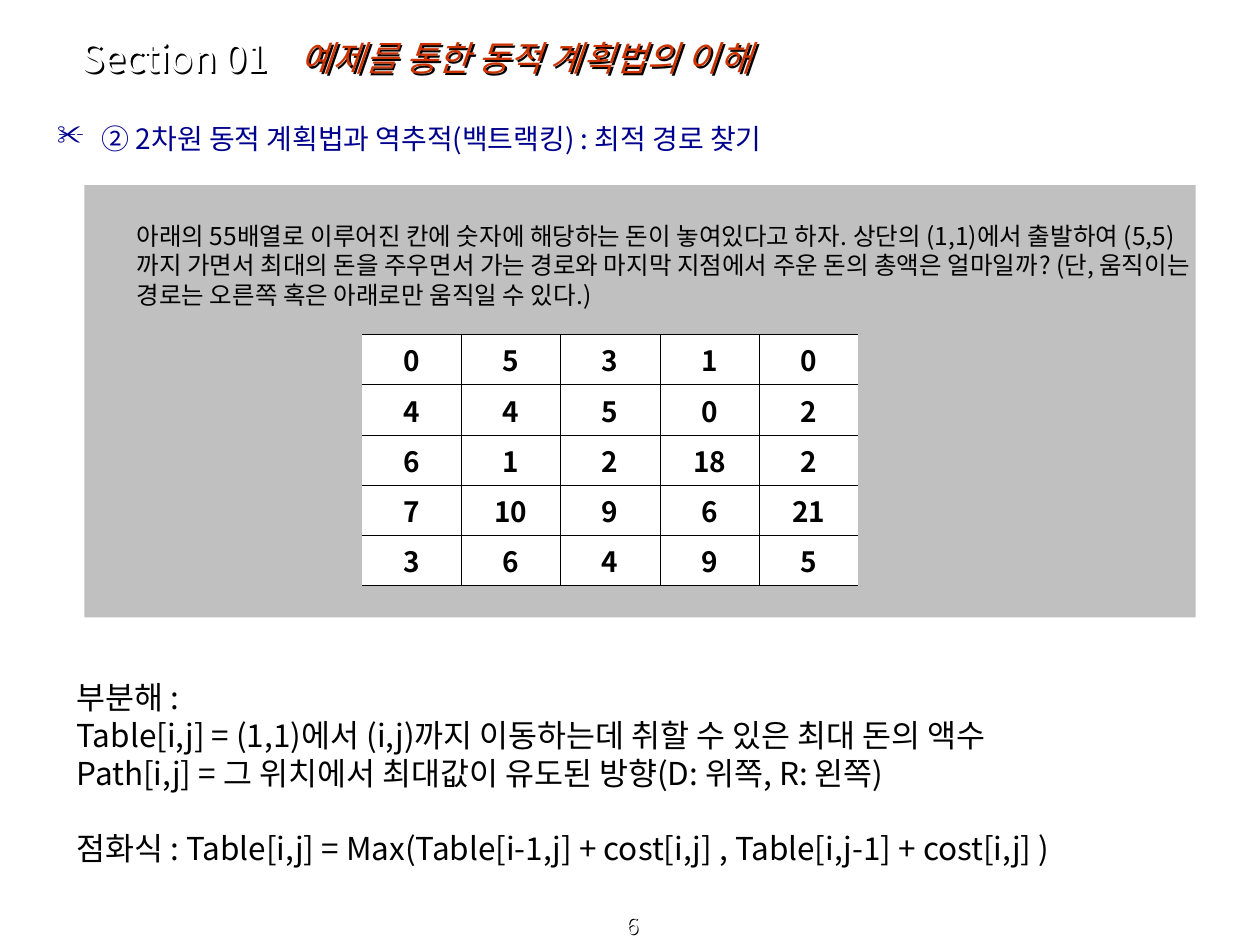
from dataclasses import dataclass

from lxml import etree
from pptx import Presentation
from pptx.dml.color import RGBColor
from pptx.enum.shapes import MSO_SHAPE
from pptx.enum.text import MSO_ANCHOR, PP_ALIGN
from pptx.oxml.ns import qn
from pptx.slide import Slide
from pptx.table import _Cell
from pptx.text.text import TextFrame, _Paragraph
from pptx.util import Pt

RECTANGLE = MSO_SHAPE.RECTANGLE
TOP, MIDDLE, BOTTOM = MSO_ANCHOR.TOP, MSO_ANCHOR.MIDDLE, MSO_ANCHOR.BOTTOM
LEFT, CENTER = PP_ALIGN.LEFT, PP_ALIGN.CENTER

FONT = "Noto Sans CJK KR"
LINE_RATIO = 1.2
BORDER_WIDTH = 0.11
COLORS = {
    "white": "FFFFFF",
    "black": "000000",
    "title": "CC3300",
    "topic": "00008E",
    "panel": "C0C0C0",
}


@dataclass(frozen=True)
class Style:
    size: float
    color: str = "black"
    bold: bool = False
    italic: bool = False
    shadow: float = 0
    align: PP_ALIGN = LEFT


@dataclass(frozen=True)
class TextBlock:
    left: float
    top: float
    width: float
    height: float
    lines: tuple[str, ...]
    style: Style
    anchor: MSO_ANCHOR = MIDDLE


SECTION = TextBlock(39.6, 19.4, 139, 26.6, ("Section 01",),
                    Style(22, "white", shadow=1.6))
TITLE = TextBlock(164.7, 8.2, 467.3, 49, ("예제를 통한 동적 계획법의 이해",),
                  Style(20, "title", italic=True, shadow=1.6))
TOPIC = TextBlock(17.3, 66, 648.7, 33.8,
                  ("② 2차원 동적 계획법과 역추적(백트랙킹) : 최적 경로 찾기",),
                  Style(16, "topic"), TOP)
PROBLEM = TextBlock(
    71, 122.8, 623.5, 57.6,
    ("아래의 55배열로 이루어진 칸에 숫자에 해당하는 돈이 놓여있다고 하자. "
     "상단의 (1,1)에서 출발하여 (5,5)까지 가면서 최대의 돈을 주우면서 가는 "
     "경로와 마지막 지점에서 주운 돈의 총액은 얼마일까? (단, 움직이는 경로는 "
     "오른쪽 혹은 아래로만 움직일 수 있다.)",),
    Style(14), TOP)
SOLUTION = TextBlock(
    36.7, 383.8, 668.9, 115.2,
    ("부분해 :",
     "Table[i,j] = (1,1)에서 (i,j)까지 이동하는데 취할 수 있은 최대 돈의 액수",
     "Path[i,j] = 그 위치에서 최대값이 유도된 방향(D: 위쪽, R: 왼쪽)",
     "점화식 : Table[i,j] = Max(Table[i-1,j] + cost[i,j] , "
     "Table[i,j-1] + cost[i,j] )"),
    Style(18))
PAGE_NUMBER = TextBlock(1.5, 524, 720, 16, ("6",),
                        Style(13, "white", shadow=0.8, align=CENTER), BOTTOM)

COSTS = (
    (0, 5, 3, 1, 0),
    (4, 4, 5, 0, 2),
    (6, 1, 2, 18, 2),
    (7, 10, 9, 6, 21),
    (3, 6, 4, 9, 5),
)
COST_STYLE = Style(16, bold=True, align=CENTER)
COLUMN_WIDTH, ROW_HEIGHT = 56.75, 28.7


def rgb(name: str) -> RGBColor:
    return RGBColor.from_string(COLORS[name])


def add_text_shadow(properties: etree._Element, distance: float) -> None:
    effects = etree.SubElement(properties, qn("a:effectLst"))
    shadow = etree.SubElement(effects, qn("a:outerShdw"), blurRad="0",
                              dist=str(Pt(distance)), dir="2700000",
                              algn="tl", rotWithShape="0")
    etree.SubElement(shadow, qn("a:srgbClr"), val=COLORS["black"])


def format_paragraph(paragraph: _Paragraph, style: Style) -> None:
    paragraph.alignment = style.align
    paragraph.line_spacing = Pt(round(style.size * LINE_RATIO, 1))
    for run in paragraph.runs:
        font = run.font
        font.size = Pt(style.size)
        font.name = FONT
        font.bold = style.bold
        font.italic = style.italic
        font.color.rgb = rgb(style.color)


def add_text(slide: Slide, block: TextBlock) -> TextFrame:
    box = slide.shapes.add_textbox(Pt(block.left), Pt(block.top),
                                   Pt(block.width), Pt(block.height))
    if block.style.shadow:
        add_text_shadow(box._element.spPr, block.style.shadow)
    frame = box.text_frame
    frame.word_wrap = True
    frame.vertical_anchor = block.anchor
    frame.text = "\n".join(block.lines)
    for paragraph in frame.paragraphs:
        format_paragraph(paragraph, block.style)
    return frame


def add_scissors_bullet(paragraph: _Paragraph) -> None:
    properties = paragraph._p.get_or_add_pPr()
    properties.set("marL", str(Pt(33.8)))
    properties.set("indent", str(-Pt(25.5)))
    color = etree.SubElement(properties, qn("a:buClr"))
    etree.SubElement(color, qn("a:srgbClr"), val=COLORS["topic"])
    etree.SubElement(properties, qn("a:buChar"), char="✂")


def set_border(cell: _Cell, side: str, visible: bool) -> None:
    line = etree.Element(qn(f"a:ln{side}"), w=str(Pt(BORDER_WIDTH)))
    if visible:
        fill = etree.SubElement(line, qn("a:solidFill"))
        etree.SubElement(fill, qn("a:srgbClr"), val=COLORS["black"])
    else:
        etree.SubElement(line, qn("a:noFill"))
    cell._tc.get_or_add_tcPr().append(line)


def add_cost_table(slide: Slide) -> None:
    row_count, column_count = len(COSTS), len(COSTS[0])
    table = slide.shapes.add_table(
        row_count, column_count, Pt(206.8), Pt(191),
        Pt(COLUMN_WIDTH * column_count), Pt(ROW_HEIGHT * row_count)).table
    table.first_row = False
    table.horz_banding = False
    for row_index, costs in enumerate(COSTS):
        table.rows[row_index].height = Pt(ROW_HEIGHT)
        for column_index, cost in enumerate(costs):
            cell = table.cell(row_index, column_index)
            cell.text_frame.text = str(cost)
            cell.vertical_anchor = MIDDLE
            cell.margin_top = Pt(6)
            cell.margin_bottom = Pt(1.6)
            format_paragraph(cell.text_frame.paragraphs[0], COST_STYLE)
            set_border(cell, "L", column_index > 0)
            set_border(cell, "R", column_index < column_count - 1)
            set_border(cell, "T", True)
            set_border(cell, "B", True)
            cell.fill.solid()
            cell.fill.fore_color.rgb = rgb("white")


def add_panel(slide: Slide) -> None:
    panel = slide.shapes.add_shape(RECTANGLE, Pt(48.2), Pt(105.8),
                                   Pt(635), Pt(247))
    panel.shadow.inherit = False
    panel.fill.solid()
    panel.fill.fore_color.rgb = rgb("panel")
    panel.line.fill.background()


def main() -> None:
    presentation = Presentation()
    presentation.slide_width = Pt(720)
    presentation.slide_height = Pt(540)
    slide = presentation.slides.add_slide(presentation.slide_layouts[6])
    for block in (PAGE_NUMBER, SECTION, TITLE):
        add_text(slide, block)
    add_scissors_bullet(add_text(slide, TOPIC).paragraphs[0])
    add_panel(slide)
    recurrence = add_text(slide, SOLUTION).paragraphs[-1]
    recurrence.space_before = Pt(SOLUTION.style.size * LINE_RATIO)
    add_text(slide, PROBLEM)
    add_cost_table(slide)
    presentation.save("out.pptx")


if __name__ == "__main__":
    main()
